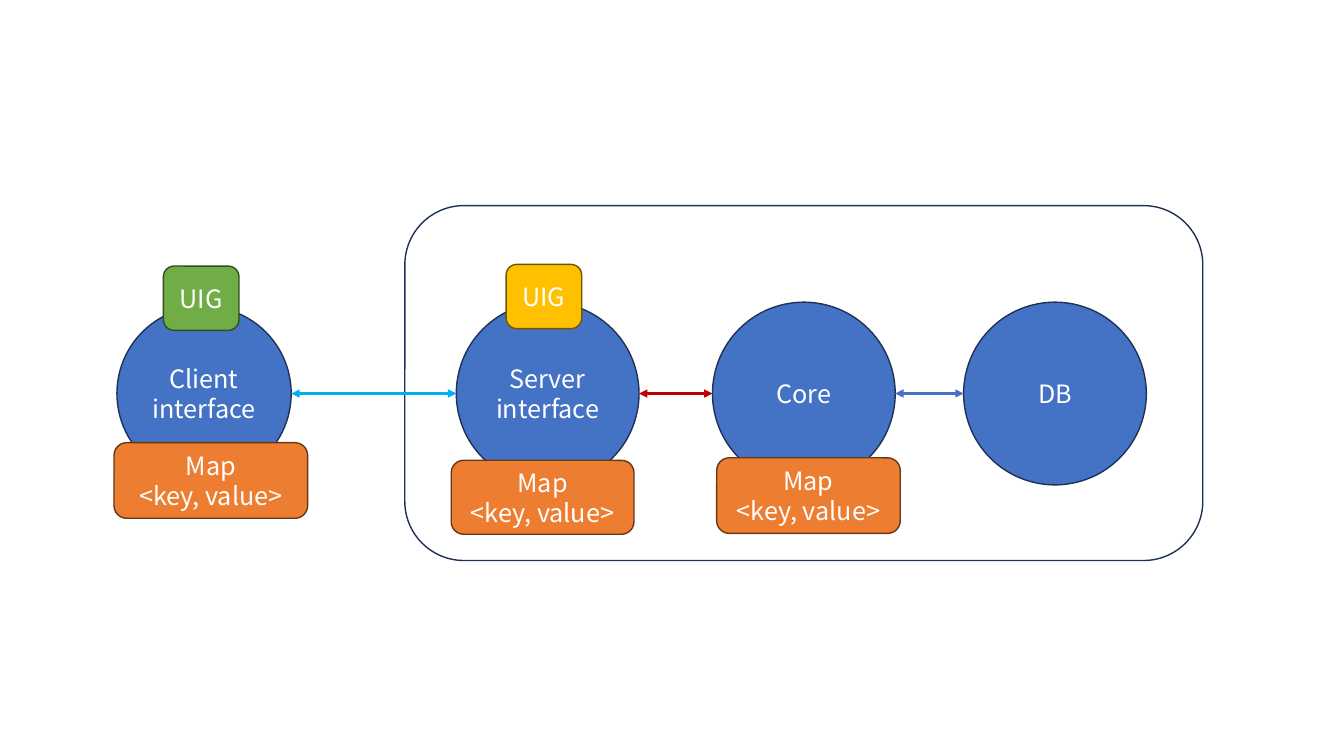
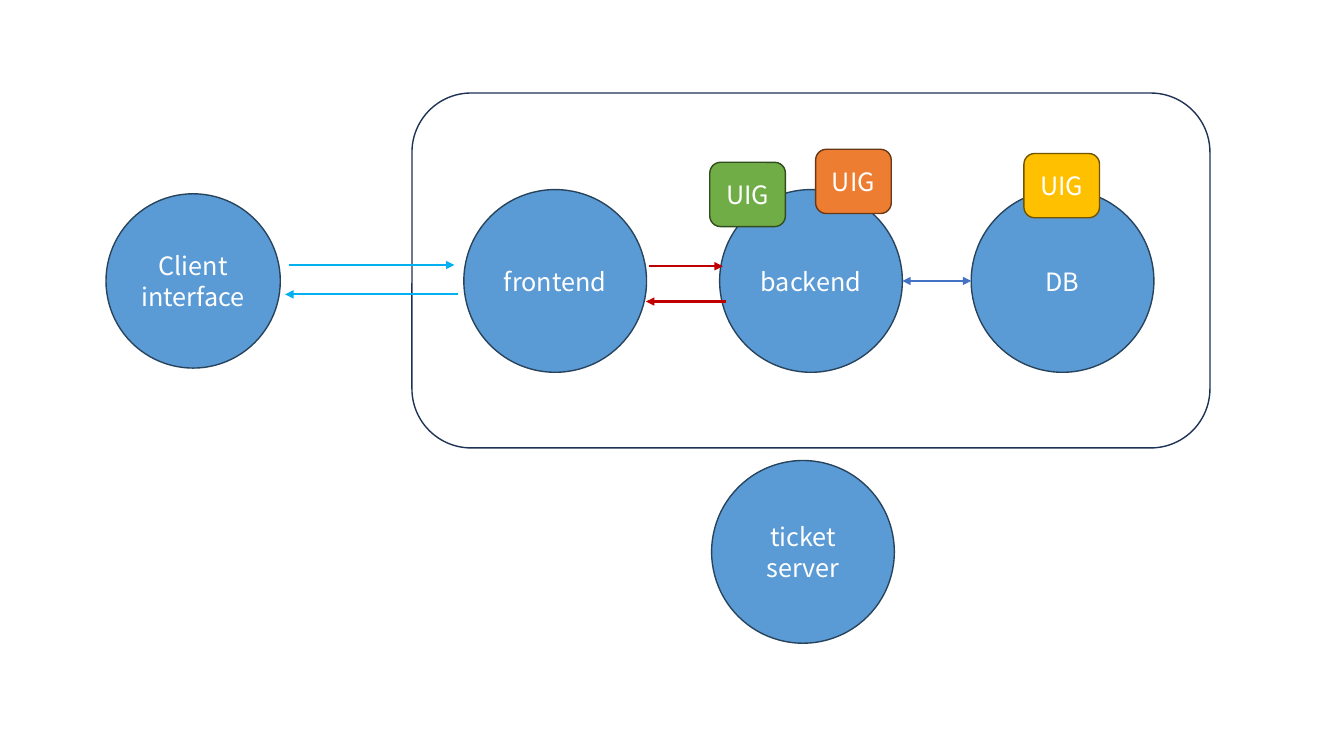
from dataclasses import dataclass

from lxml.etree import SubElement
from pptx import Presentation
from pptx.dml.color import RGBColor
from pptx.enum.shapes import MSO_CONNECTOR, MSO_SHAPE
from pptx.enum.text import MSO_ANCHOR, PP_ALIGN
from pptx.oxml.ns import qn
from pptx.util import Inches, Pt


@dataclass(frozen=True)
class Theme:
    font: str = "Noto Sans CJK KR"
    text_size: float = 18
    text_color: str = "FFFFFF"
    outline_width: float = 1
    arrow_width: float = 1.5
    blue: tuple = ("4472C4", "1E3256")
    sky: tuple = ("5B9BD5", "28445D")
    orange: tuple = ("ED7D31", "683715")
    green: tuple = ("70AD47", "314C1F")
    yellow: tuple = ("FFC000", "705400")
    frame: tuple = (None, "1E3256")
    cyan_arrow: str = "00B0F0"
    red_arrow: str = "C00000"
    blue_arrow: str = "4472C4"


theme = Theme()
presentation = Presentation()
presentation.slide_width = Inches(13.3333)
presentation.slide_height = Inches(7.5)
cell = presentation.slide_height / 18

CLIENT_SIZE = (4.15, 4.15)
NODE_SIZE = (4.35, 4.35)
FRAME_SIZE = (19, 8.45)
TAG_SIZE = (1.8, 1.53)
FRAME_RISE = 0.25


def add_node(slide, preset, center, size, paint, lines=()):
    column, row = center
    width, height = size
    shape = slide.shapes.add_shape(
        preset,
        round((column - width / 2) * cell),
        round((row - height / 2) * cell),
        round(width * cell),
        round(height * cell),
    )
    shape.shadow.inherit = False
    fill, outline = paint
    if fill:
        shape.fill.solid()
        shape.fill.fore_color.rgb = RGBColor.from_string(fill)
    else:
        shape.fill.background()
    shape.line.color.rgb = RGBColor.from_string(outline)
    shape.line.width = Pt(theme.outline_width)
    frame = shape.text_frame
    frame.vertical_anchor = MSO_ANCHOR.MIDDLE
    for index, line in enumerate(lines):
        paragraph = frame.add_paragraph() if index else frame.paragraphs[0]
        paragraph.alignment = PP_ALIGN.CENTER
        run = paragraph.add_run()
        run.text = line
        run.font.name = theme.font
        run.font.size = Pt(theme.text_size)
        run.font.color.rgb = RGBColor.from_string(theme.text_color)
    return shape


def add_arrow(slide, start, end, color, ends=("tailEnd",)):
    connector = slide.shapes.add_connector(
        MSO_CONNECTOR.STRAIGHT, *(round(length) for length in (*start, *end))
    )
    connector.line.color.rgb = RGBColor.from_string(color)
    connector.line.width = Pt(theme.arrow_width)
    line = connector.line._get_or_add_ln()
    for end_name in ends:
        SubElement(line, qn(f"a:{end_name}"), type="triangle")
    SubElement(connector._element.spPr, qn("a:effectLst"))


client_lines = ("Client", "interface")
diagrams = [
    {
        "row": 9.37,
        "paint": theme.blue,
        "columns": (4.86, 13.04, 19.14, 25.12),
        "labels": (client_lines, ("Server", "interface"), ("Core",), ("DB",)),
        "links": [
            (0, 1, theme.cyan_arrow),
            (1, 2, theme.red_arrow),
            (2, 3, theme.blue_arrow),
        ],
        "arrows": [],
        "tags": [
            ((12.95, 7.06), theme.yellow),
            ((4.79, 7.1), theme.green),
        ],
        "maps": [
            ((12.92, 11.84), (4.35, 1.76)),
            ((19.25, 11.8), (4.37, 1.8)),
            ((5.02, 11.44), (4.61, 1.8)),
        ],
        "extras": [],
    },
    {
        "row": 6.69,
        "paint": theme.sky,
        "columns": (4.6, 13.22, 19.31, 25.3),
        "labels": (client_lines, ("frontend",), ("backend",), ("DB",)),
        "links": [(2, 3, theme.blue_arrow)],
        "arrows": [
            (6.89, 10.82, 6.31, theme.cyan_arrow),
            (15.46, 17.21, 6.34, theme.red_arrow),
            (10.9, 6.79, 7.01, theme.cyan_arrow),
            (17.28, 15.38, 7.18, theme.red_arrow),
        ],
        "tags": [
            ((25.28, 4.42), theme.yellow),
            ((20.32, 4.32), theme.orange),
            ((17.8, 4.63), theme.green),
        ],
        "maps": [],
        "extras": [((19.12, 13.14), ("ticket", "server"))],
    },
]

for diagram in diagrams:
    slide = presentation.slides.add_slide(presentation.slide_layouts[6])
    row = diagram["row"]
    paint = diagram["paint"]
    columns = diagram["columns"]

    add_node(
        slide, MSO_SHAPE.ROUNDED_RECTANGLE,
        (columns[2], row - FRAME_RISE), FRAME_SIZE, theme.frame,
    )

    sizes = (CLIENT_SIZE, NODE_SIZE, NODE_SIZE, NODE_SIZE)
    nodes = [
        add_node(slide, MSO_SHAPE.OVAL, (column, row), size, paint, lines)
        for column, size, lines in zip(columns, sizes, diagram["labels"])
    ]
    for center, lines in diagram["extras"]:
        add_node(slide, MSO_SHAPE.OVAL, center, NODE_SIZE, paint, lines)

    for first, second, color in diagram["links"]:
        start = (nodes[first].left + nodes[first].width, row * cell)
        end = (nodes[second].left, row * cell)
        add_arrow(slide, start, end, color, ("headEnd", "tailEnd"))
    for start_column, end_column, arrow_row, color in diagram["arrows"]:
        start = (start_column * cell, arrow_row * cell)
        end = (end_column * cell, arrow_row * cell)
        add_arrow(slide, start, end, color)

    for center, tag_paint in diagram["tags"]:
        add_node(
            slide, MSO_SHAPE.ROUNDED_RECTANGLE,
            center, TAG_SIZE, tag_paint, ("UIG",),
        )
    for center, size in diagram["maps"]:
        add_node(
            slide, MSO_SHAPE.ROUNDED_RECTANGLE,
            center, size, theme.orange, ("Map", "<key, value>"),
        )

presentation.save("out.pptx")
